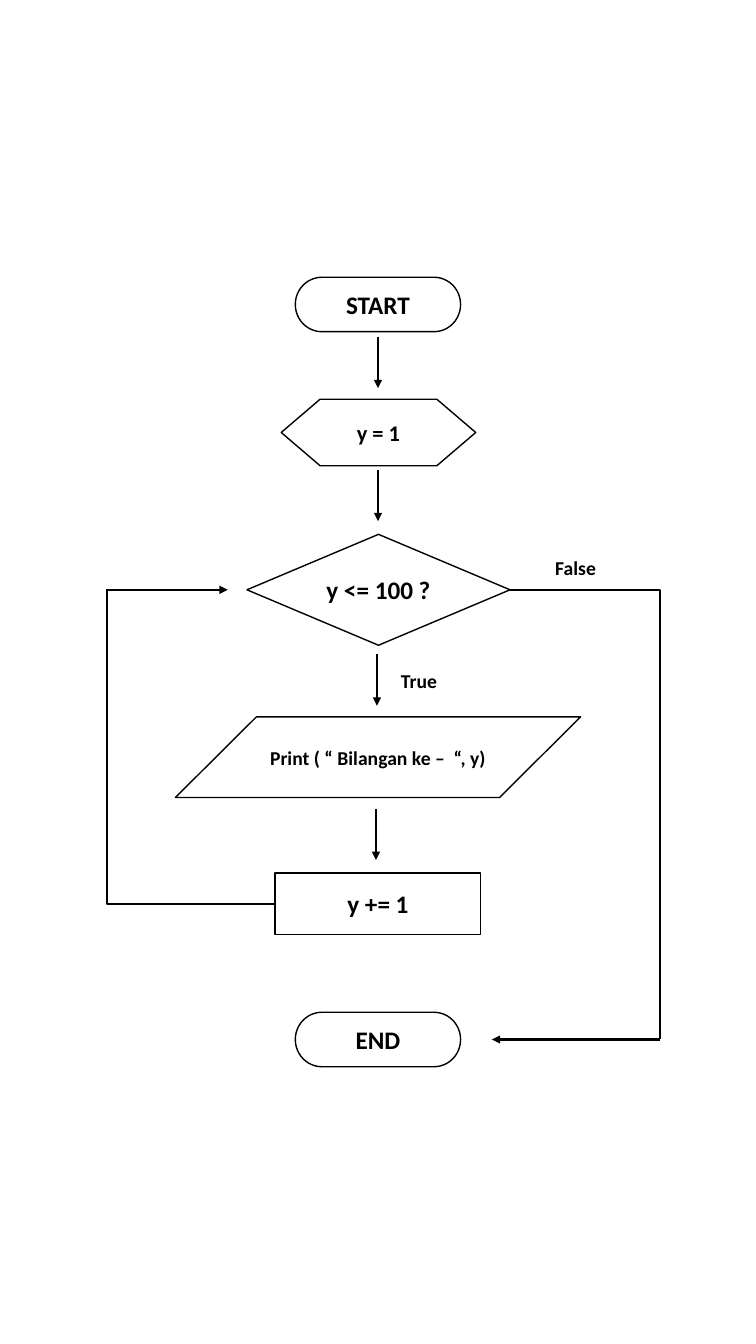
from typing import NamedTuple

from lxml.etree import SubElement
from pptx import Presentation
from pptx.dml.color import RGBColor
from pptx.enum.shapes import MSO_CONNECTOR, MSO_SHAPE
from pptx.enum.text import MSO_ANCHOR, MSO_AUTO_SIZE, PP_ALIGN
from pptx.oxml.ns import qn
from pptx.util import Inches, Pt

INK = "000000"
FONT = "Calibri"


class Step(NamedTuple):
    shape: MSO_SHAPE
    left: float
    top: float
    width: float
    height: float
    text: str
    size: int = 18


class Flow(NamedTuple):
    start: tuple[float, float]
    end: tuple[float, float]
    weight: float = 1
    elbow: bool = False


class Label(NamedTuple):
    left: float
    top: float
    width: float
    text: str


STEPS = [
    Step(MSO_SHAPE.FLOWCHART_TERMINATOR, 2.93, 2.75, 1.64, 0.54, "START"),
    Step(MSO_SHAPE.FLOWCHART_PREPARATION, 2.79, 3.96, 1.93, 0.66, "y = 1", 16),
    Step(MSO_SHAPE.FLOWCHART_DECISION, 2.45, 5.3, 2.61, 1.1, "y <= 100 ?"),
    Step(MSO_SHAPE.FLOWCHART_DATA, 1.74, 7.11, 4.02, 0.8, "Print ( “ Bilangan ke –  “, y)", 14),
    Step(MSO_SHAPE.FLOWCHART_PROCESS, 2.73, 8.66, 2.04, 0.61, "y += 1"),
    Step(MSO_SHAPE.FLOWCHART_TERMINATOR, 2.93, 10.04, 1.64, 0.54, "END"),
]
DOWN_ARROWS = [(3.75, 3.34), (3.75, 4.66), (3.74, 6.49), (3.73, 8.02)]
DOWN_LENGTH = 0.51
FLOWS = [Flow((x, y), (x, y + DOWN_LENGTH)) for x, y in DOWN_ARROWS] + [
    Flow((2.73, 8.97), (1.06, 5.85), 1.5, elbow=True),
    Flow((1.05, 5.85), (2.26, 5.85)),
    Flow((5.05, 5.85), (6.55, 10.31), 1.5, elbow=True),
    Flow((6.55, 10.31), (4.88, 10.31), 1.5),
]
LABELS = [Label(5.41, 5.46, 0.61, "False"), Label(3.88, 6.59, 0.56, "True")]


def color(value: str) -> RGBColor:
    return RGBColor.from_string(value)


def write(frame, text: str, *, size: int, align=PP_ALIGN.LEFT, anchor=MSO_ANCHOR.TOP) -> None:
    frame.vertical_anchor = anchor
    para = frame.paragraphs[0]
    para.alignment = align
    span = para.add_run()
    span.text = text
    span.font.name = FONT
    span.font.size = Pt(size)
    span.font.bold = True
    span.font.color.rgb = color(INK)


def draw_step(page, step: Step) -> None:
    box = page.shapes.add_shape(
        step.shape, Inches(step.left), Inches(step.top), Inches(step.width), Inches(step.height)
    )
    box.shadow.inherit = False
    box.fill.background()
    box.line.color.rgb = color(INK)
    box.line.width = Pt(1)
    write(box.text_frame, step.text, size=step.size, align=PP_ALIGN.CENTER, anchor=MSO_ANCHOR.MIDDLE)


def draw_flow(page, flow: Flow) -> None:
    """Draw an arrow, or a one-corner elbow without an arrowhead."""
    kind = MSO_CONNECTOR.ELBOW if flow.elbow else MSO_CONNECTOR.STRAIGHT
    connector = page.shapes.add_connector(
        kind, *(Inches(value) for value in (*flow.start, *flow.end))
    )
    connector.line.color.rgb = color(INK)
    connector.line.width = Pt(flow.weight)
    properties = connector._element.spPr
    if flow.elbow:
        properties.find(qn("a:prstGeom")).set("prst", "bentConnector2")
    else:
        SubElement(properties.find(qn("a:ln")), qn("a:tailEnd"), type="triangle")
    SubElement(properties, qn("a:effectLst"))


def draw_label(page, label: Label) -> None:
    box = page.shapes.add_textbox(
        Inches(label.left), Inches(label.top), Inches(label.width), Inches(0.34)
    )
    box.text_frame.word_wrap = False
    box.text_frame.auto_size = MSO_AUTO_SIZE.SHAPE_TO_FIT_TEXT
    write(box.text_frame, label.text, size=14)


def main() -> None:
    deck = Presentation()
    deck.slide_width, deck.slide_height = Inches(7.5), Inches(13.33)
    page = deck.slides.add_slide(deck.slide_layouts[6])
    for step in STEPS:
        draw_step(page, step)
    for flow in FLOWS:
        draw_flow(page, flow)
    for label in LABELS:
        draw_label(page, label)
    deck.save("out.pptx")


if __name__ == "__main__":
    main()
